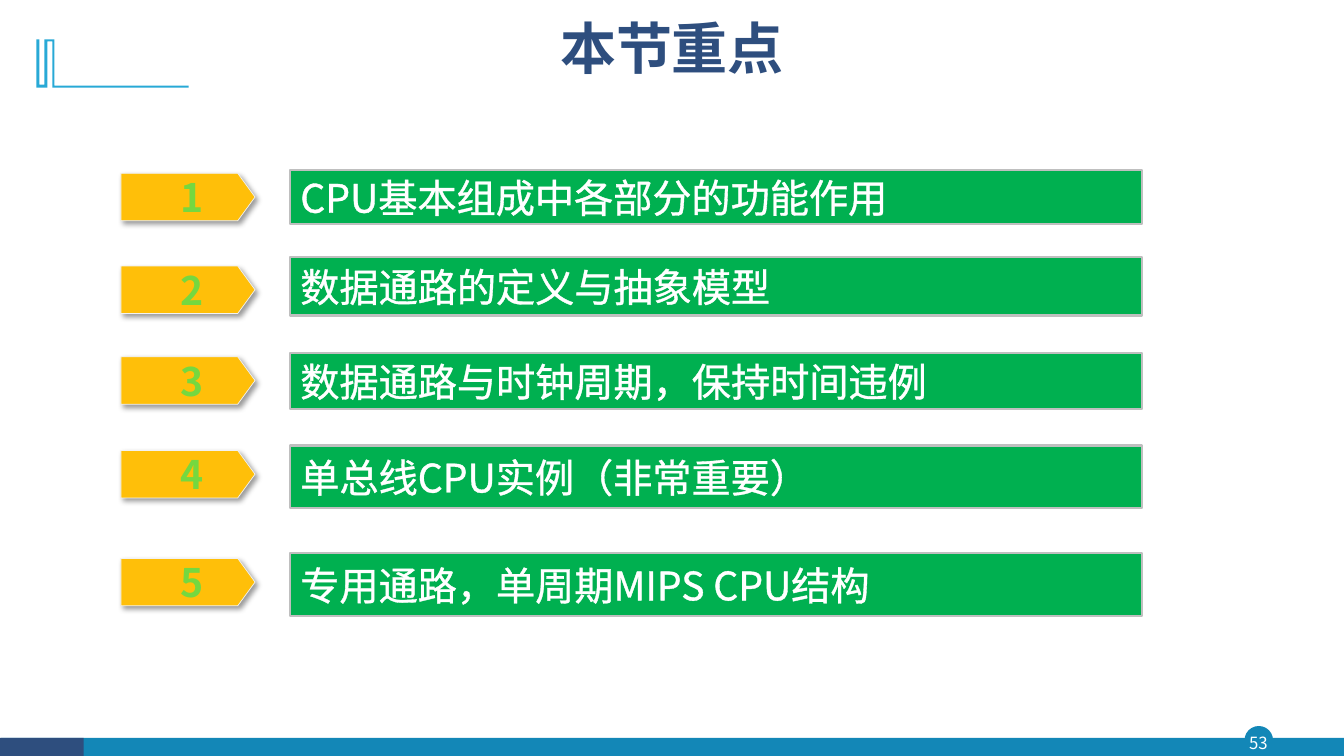
from lxml.etree import SubElement
from pptx import Presentation
from pptx.dml.color import RGBColor
from pptx.enum.shapes import MSO_SHAPE
from pptx.enum.text import MSO_ANCHOR, PP_ALIGN
from pptx.oxml import parse_xml
from pptx.oxml.ns import nsdecls, qn
from pptx.util import Inches, Pt

FONT = "Noto Sans CJK SC"
BLUE, NAVY, WHITE = "1387B7", "2E4E7E", "FFFFFF"
TOPICS = [
    (1.72, 1.69, 0.53, "CPU基本组成中各部分的功能作用"),
    (2.64, 2.55, 0.58, "数据通路的定义与抽象模型"),
    (3.54, 3.5, 0.56, "数据通路与时钟周期，保持时间违例"),
    (4.47, 4.42, 0.62, "单总线CPU实例（非常重要）"),
    (5.54, 5.49, 0.62, "专用通路，单周期MIPS CPU结构"),
]
CORNER = [
    (0.54, 0.39), (0.54, 0.85), (1.87, 0.85), (1.87, 0.87), (0.52, 0.87),
    (0.52, 0.41), (0.47, 0.41), (0.47, 0.87), (0.36, 0.87), (0.36, 0.39),
    (0.39, 0.39), (0.39, 0.84), (0.44, 0.84), (0.44, 0.39),
]


def color(value):
    return RGBColor.from_string(value)


def paint(shape, fill, line=None, width=1):
    shape.shadow.inherit = False
    shape.fill.solid()
    shape.fill.fore_color.rgb = color(fill)
    if line:
        shape.line.color.rgb = color(line)
        shape.line.width = Pt(width)
    else:
        shape.line.fill.background()


def add_block(page, kind, left, top, width, height, fill, line=None, line_width=1):
    block = page.shapes.add_shape(
        kind, Inches(left), Inches(top), Inches(width), Inches(height))
    paint(block, fill, line, line_width)
    return block


def write(shape, text, size, fill, align, bold=False):
    frame = shape.text_frame
    frame.word_wrap = True
    frame.vertical_anchor = MSO_ANCHOR.MIDDLE
    frame.text = text
    para = frame.paragraphs[0]
    para.alignment = align
    span = para.runs[0]
    span.font.size = Pt(size)
    span.font.bold = bold
    span.font.color.rgb = color(fill)
    span.font.name = FONT
    SubElement(span.font._element, qn("a:ea"), typeface=FONT)
    return span


def set_insets(shape, left=0):
    frame = shape.text_frame
    frame.margin_left = Inches(left)
    frame.margin_top = frame.margin_right = frame.margin_bottom = 0


def add_text(page, left, top, width, height, text, size, fill, bold=False):
    box = page.shapes.add_textbox(
        Inches(left), Inches(top), Inches(width), Inches(height))
    write(box, text, size, fill, PP_ALIGN.CENTER, bold)
    return box


def add_shadow(shape):
    effects = shape._element.spPr.find(qn("a:effectLst"))
    effects.append(parse_xml(
        f'<a:outerShdw {nsdecls("a")} blurRad="{Pt(4)}" dist="{Pt(3)}" '
        'dir="2700000" algn="tl" rotWithShape="0"><a:srgbClr val="000000">'
        '<a:alpha val="40000"/></a:srgbClr></a:outerShdw>'))


def apply_gradient(span):
    stops = "".join(
        f'<a:gs pos="{place * 1000}"><a:srgbClr val="{shade}"/></a:gs>'
        for place, shade in [(0, "336F0A"), (78, "75D840"), (100, "F2FBEE")])
    properties = span.font._element
    properties.replace(properties.find(qn("a:solidFill")), parse_xml(
        f'<a:gradFill {nsdecls("a")}><a:gsLst>{stops}</a:gsLst>'
        '<a:lin ang="5400000" scaled="0"/></a:gradFill>'))


def apply_outline(span):
    span.font._element.insert(0, parse_xml(
        f'<a:ln {nsdecls("a")} w="{Pt(0.75)}"><a:solidFill>'
        f'<a:srgbClr val="{WHITE}"/></a:solidFill></a:ln>'))


def add_number_tag(page, top, number):
    tag = add_block(page, MSO_SHAPE.PENTAGON, 1.2, top, 1.33, 0.47,
                    "FFBF09", "F2F2F2", 0.5)
    tag.adjustments[0] = 0.365
    add_shadow(tag)
    set_insets(tag, left=0.16)
    apply_gradient(write(tag, str(number), 28, "75D840", PP_ALIGN.CENTER, True))


def add_topic_bar(page, top, height, text):
    bar = add_block(page, MSO_SHAPE.RECTANGLE, 2.88, top, 8.45, height,
                    "00B050", "BFBFBF", 1.5)
    apply_outline(write(bar, text, 28, WHITE, PP_ALIGN.LEFT))


def add_corner(page):
    points = [(Inches(x), Inches(y)) for x, y in CORNER]
    builder = page.shapes.build_freeform(*points[0])
    builder.add_line_segments(points[1:], close=True)
    paint(builder.convert_to_shape(), "28A9D6")


def add_footer(page):
    add_block(page, MSO_SHAPE.OVAL, 12.35, 7.21, 0.27, 0.27, BLUE, BLUE)
    add_block(page, MSO_SHAPE.RECTANGLE, 0.01, 7.32, 13.32, 0.19, BLUE)
    add_block(page, MSO_SHAPE.RECTANGLE, 0, 7.32, 0.83, 0.19, NAVY)
    set_insets(add_text(page, 12.32, 7.21, 0.32, 0.31, "53", 12, WHITE))


def main():
    deck = Presentation()
    deck.slide_width, deck.slide_height = Inches(13.33), Inches(7.5)
    page = deck.slides.add_slide(deck.slide_layouts[6])
    add_footer(page)
    add_corner(page)
    title = add_text(page, 3.1, 0.09, 7.13, 0.83, "本节重点", 40, NAVY, True)
    title.text_frame.paragraphs[0].line_spacing = 0.9
    for number, (tag_top, bar_top, height, text) in enumerate(TOPICS, 1):
        add_number_tag(page, tag_top, number)
        add_topic_bar(page, bar_top, height, text)
    deck.save("out.pptx")


if __name__ == "__main__":
    main()
